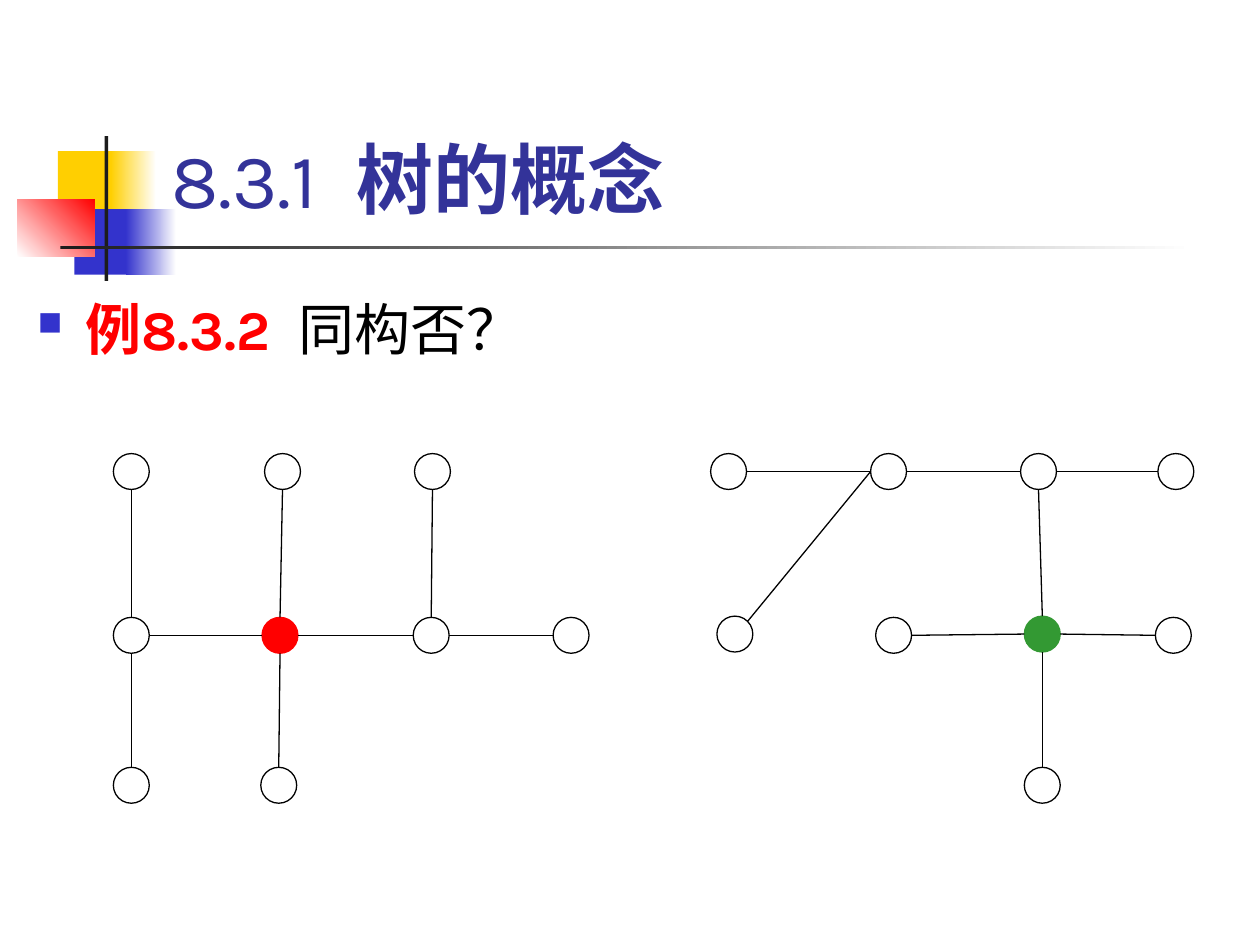
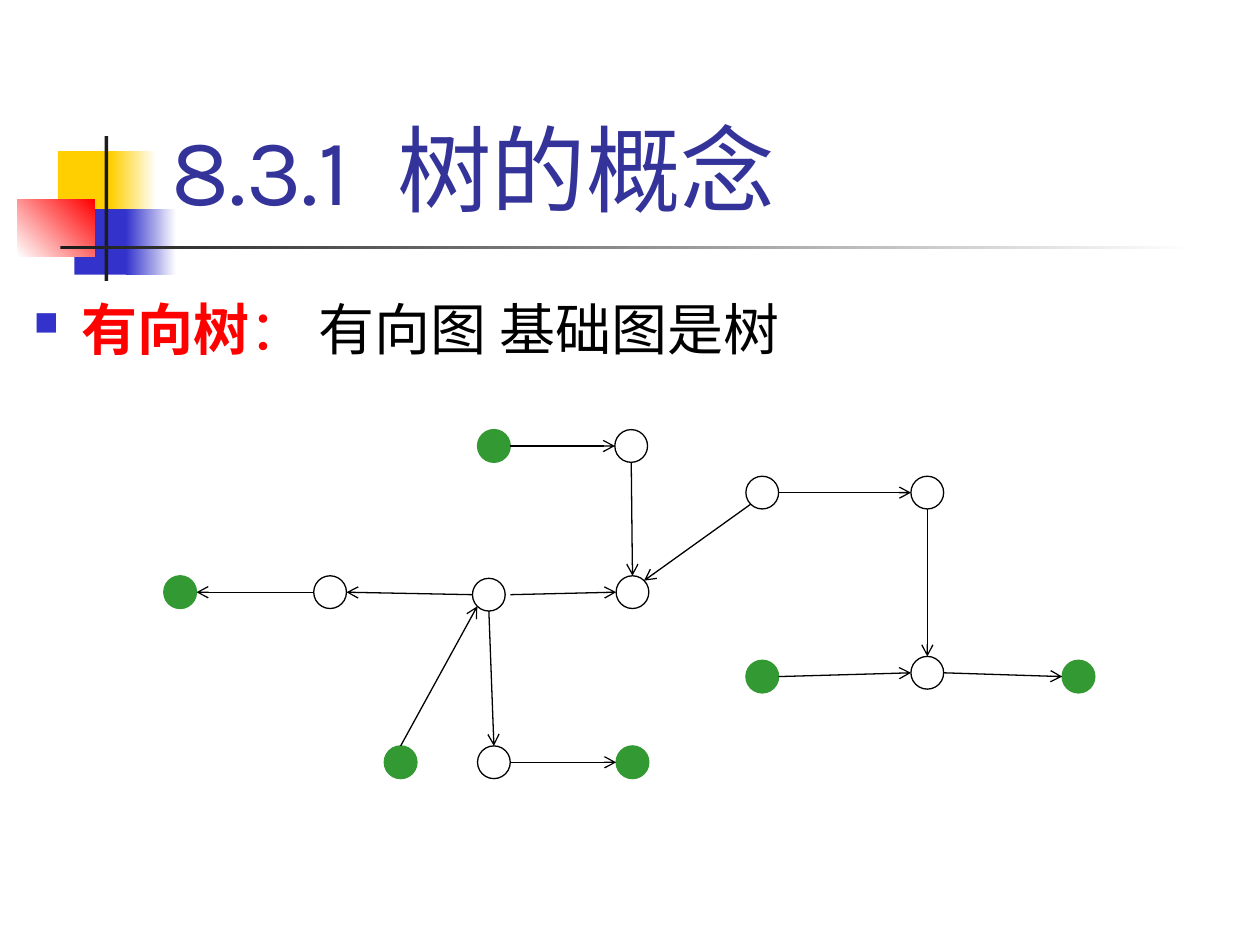
from dataclasses import dataclass
from enum import Enum
from math import sqrt

from lxml import etree
from pptx import Presentation
from pptx import util as u
from pptx.dml.color import RGBColor
from pptx.enum import shapes, text
from pptx.oxml import ns

FONT = "Karla"
WHITE = RGBColor(0xFF, 0xFF, 0xFF)
BLACK = RGBColor(0x00, 0x00, 0x00)
RED = RGBColor(0xFF, 0x00, 0x00)
GREEN = RGBColor(0x33, 0x99, 0x33)
YELLOW = RGBColor(0xFF, 0xCF, 0x01)
BLUE = RGBColor(0x33, 0x33, 0xCC)
NAVY = RGBColor(0x33, 0x33, 0x99)
CHARCOAL = RGBColor(0x1C, 0x1C, 0x1C)

DIAGONAL = sqrt(0.5)


class Side(Enum):
    TOP = (0, -1)
    BOTTOM = (0, 1)
    LEFT = (-1, 0)
    RIGHT = (1, 0)
    TOP_RIGHT = (DIAGONAL, -DIAGONAL)
    BOTTOM_LEFT = (-DIAGONAL, DIAGONAL)


@dataclass(frozen=True)
class Band:
    left: float
    top: float
    width: float
    height: float
    start: RGBColor
    end: RGBColor | None = None
    angle: int = 0


@dataclass(frozen=True)
class Words:
    text: str
    color: RGBColor
    bold: bool = False
    tracking: int = 0


@dataclass(frozen=True)
class Vertex:
    left: float
    top: float
    fill: RGBColor = WHITE


@dataclass(frozen=True)
class Edge:
    tail: str
    tail_side: Side
    head: str
    head_side: Side
    gap: float = 0


@dataclass(frozen=True)
class Graph:
    diameter: float
    vertices: dict[str, Vertex]
    edges: list[Edge]
    directed: bool = False


@dataclass(frozen=True)
class Page:
    title: list[Words]
    title_size: int
    body_left: float
    body_width: float
    body: list[Words]
    graph: Graph


BANDS = [
    Band(0.46, 1.2, 0.48, 0.52, YELLOW),
    Band(0.88, 1.2, 0.36, 0.52, YELLOW, WHITE),
    Band(0.59, 1.66, 0.46, 0.52, BLUE),
    Band(1, 1.66, 0.4, 0.52, BLUE, WHITE),
    Band(0.14, 1.58, 0.61, 0.46, WHITE, RED, 45),
    Band(0.83, 1.08, 0.03, 1.15, CHARCOAL),
    Band(0.48, 1.95, 9, 0.03, CHARCOAL, WHITE),
]

TREES = Graph(
    0.285,
    {
        "a1": Vertex(0.9, 3.6), "a2": Vertex(2.1, 3.6), "a3": Vertex(3.29, 3.6),
        "b1": Vertex(0.9, 4.9), "b2": Vertex(2.08, 4.9, RED),
        "b3": Vertex(3.28, 4.9), "b4": Vertex(4.39, 4.9),
        "c1": Vertex(0.9, 6.09), "c2": Vertex(2.07, 6.09),
        "p1": Vertex(5.64, 3.6), "p2": Vertex(6.91, 3.6),
        "p3": Vertex(8.1, 3.6), "p4": Vertex(9.19, 3.6),
        "q1": Vertex(5.69, 4.89), "q2": Vertex(6.95, 4.9),
        "q3": Vertex(8.13, 4.89, GREEN), "q4": Vertex(9.17, 4.9),
        "r3": Vertex(8.13, 6.09),
    },
    [Edge(tail, Side.RIGHT, head, Side.LEFT) for tail, head in (
        ("b1", "b2"), ("b2", "b3"), ("b3", "b4"), ("p1", "p2"),
        ("p2", "p3"), ("p3", "p4"), ("q2", "q3"), ("q3", "q4"))]
    + [Edge(tail, Side.BOTTOM, head, Side.TOP) for tail, head in (
        ("a1", "b1"), ("a2", "b2"), ("a3", "b3"), ("b1", "c1"),
        ("b2", "c2"), ("p3", "q3"), ("q3", "r3"))]
    + [Edge("p2", Side.LEFT, "q1", Side.TOP_RIGHT)],
)

DIRECTED_TREE = Graph(
    0.26,
    {
        "top source": Vertex(3.79, 3.41, GREEN), "top": Vertex(4.88, 3.41),
        "left end": Vertex(1.3, 4.57, GREEN), "left": Vertex(2.49, 4.57),
        "center": Vertex(3.75, 4.59), "junction": Vertex(4.89, 4.57),
        "low source": Vertex(3.05, 5.92, GREEN), "low": Vertex(3.79, 5.92),
        "low end": Vertex(4.89, 5.92, GREEN),
        "upper right": Vertex(5.92, 3.78), "far right": Vertex(7.23, 3.78),
        "right source": Vertex(5.92, 5.24, GREEN), "right": Vertex(7.23, 5.21),
        "right end": Vertex(8.43, 5.24, GREEN),
    },
    [Edge(tail, Side.RIGHT, head, Side.LEFT) for tail, head in (
        ("top source", "top"), ("low", "low end"), ("upper right", "far right"),
        ("right source", "right"), ("right", "right end"))]
    + [Edge(tail, Side.BOTTOM, head, Side.TOP) for tail, head in (
        ("top", "junction"), ("center", "low"), ("far right", "right"))]
    + [Edge(tail, Side.LEFT, head, Side.RIGHT) for tail, head in (
        ("center", "left"), ("left", "left end"))]
    + [
        Edge("center", Side.RIGHT, "junction", Side.LEFT, gap=0.04),
        Edge("low source", Side.TOP, "center", Side.BOTTOM_LEFT),
        Edge("upper right", Side.BOTTOM_LEFT, "junction", Side.TOP_RIGHT),
    ],
    directed=True,
)

PAGES = [
    Page(
        [Words("8.3.1", NAVY), Words(" ", NAVY, tracking=12), Words("树的概念", NAVY, True)],
        44, 0.2, 9.8,
        [Words("例8.3.2", RED, True), Words(" ", RED, True, 8), Words("同构否？", BLACK)],
        TREES,
    ),
    Page(
        [Words("8.3.1", NAVY), Words(" ", NAVY, tracking=14), Words("树的概念", NAVY)],
        54, 0.17, 9.71,
        [Words("有向树", RED, True), Words("：", RED), Words(" 有向图 基础图是树", BLACK)],
        DIRECTED_TREE,
    ),
]


def draw_band(slide, band: Band) -> None:
    bar = slide.shapes.add_shape(
        shapes.MSO_SHAPE.RECTANGLE, u.Inches(band.left), u.Inches(band.top),
        u.Inches(band.width), u.Inches(band.height))
    bar.shadow.inherit = False
    bar.line.fill.background()
    if band.end is None:
        bar.fill.solid()
        bar.fill.fore_color.rgb = band.start
        return
    bar.fill.gradient()
    bar.fill.gradient_angle = band.angle
    for stop, position, color in zip(bar.fill.gradient_stops, (0, 1), (band.start, band.end)):
        stop.position = position
        stop.color.rgb = color


def write(paragraph, pieces: list[Words], size: int) -> None:
    for piece in pieces:
        run = paragraph.add_run()
        run.text = piece.text
        run.font.name = FONT
        run.font.size = u.Pt(size)
        run.font.bold = piece.bold
        run.font.color.rgb = piece.color
        if piece.tracking:
            run.font._element.set("spc", str(piece.tracking * 100))


def place_title(slide, page: Page) -> None:
    title = slide.shapes.title
    title.left, title.top = u.Inches(1.26), u.Inches(0.23)
    title.width, title.height = u.Inches(8.52), u.Inches(1.6)
    frame = title.text_frame
    frame.word_wrap = True
    frame.auto_size = text.MSO_AUTO_SIZE.NONE
    frame.vertical_anchor = text.MSO_ANCHOR.BOTTOM
    paragraph = frame.paragraphs[0]
    paragraph.alignment = text.PP_ALIGN.LEFT
    write(paragraph, page.title, page.title_size)


def add_bullet(paragraph) -> None:
    properties = paragraph._p.get_or_add_pPr()
    hanging = u.Inches(0.38)
    properties.set("marL", str(hanging))
    properties.set("indent", str(-hanging))
    color = etree.SubElement(properties, ns.qn("a:buClr"))
    etree.SubElement(color, ns.qn("a:srgbClr"), val=str(BLUE))
    etree.SubElement(properties, ns.qn("a:buSzPct"), val="60000")
    etree.SubElement(properties, ns.qn("a:buChar"), char="■")


def place_body(slide, page: Page) -> None:
    body = slide.shapes.add_textbox(
        u.Inches(page.body_left), u.Inches(2.02), u.Inches(page.body_width), u.Inches(5.4))
    body.text_frame.word_wrap = True
    paragraph = body.text_frame.paragraphs[0]
    add_bullet(paragraph)
    paragraph.line_spacing = 1.5
    write(paragraph, page.body, 32)


def draw_vertex(slide, vertex: Vertex, diameter: float) -> None:
    circle = slide.shapes.add_shape(
        shapes.MSO_SHAPE.OVAL, u.Inches(vertex.left), u.Inches(vertex.top),
        u.Inches(diameter), u.Inches(diameter))
    circle.shadow.inherit = False
    circle.fill.solid()
    circle.fill.fore_color.rgb = vertex.fill
    circle.line.color.rgb = BLACK if vertex.fill == WHITE else vertex.fill
    circle.line.width = u.Pt(0.75)


def rim_point(vertex: Vertex, side: Side, diameter: float, gap: float = 0) -> tuple[int, int]:
    radius = diameter / 2
    across, down = side.value
    return (u.Inches(vertex.left + radius + across * (radius + gap)),
            u.Inches(vertex.top + radius + down * (radius + gap)))


def draw_edge(slide, graph: Graph, edge: Edge) -> None:
    start = rim_point(graph.vertices[edge.tail], edge.tail_side, graph.diameter, edge.gap)
    end = rim_point(graph.vertices[edge.head], edge.head_side, graph.diameter)
    link = slide.shapes.add_connector(shapes.MSO_CONNECTOR.STRAIGHT, *start, *end)
    link.line.color.rgb = BLACK
    link.line.width = u.Pt(0.75)
    if graph.directed:
        etree.SubElement(link.line._get_or_add_ln(), ns.qn("a:tailEnd"), type="arrow")
    etree.SubElement(link._element.spPr, ns.qn("a:effectLst"))


def draw_graph(slide, graph: Graph) -> None:
    for vertex in graph.vertices.values():
        draw_vertex(slide, vertex, graph.diameter)
    for edge in graph.edges:
        draw_edge(slide, graph, edge)


def main() -> None:
    deck = Presentation()
    deck.slide_width, deck.slide_height = u.Inches(10), u.Inches(7.5)
    title_only = deck.slide_layouts[5]
    for page in PAGES:
        slide = deck.slides.add_slide(title_only)
        for band in BANDS:
            draw_band(slide, band)
        place_title(slide, page)
        place_body(slide, page)
        draw_graph(slide, page.graph)
    deck.save("out.pptx")


if __name__ == "__main__":
    main()
